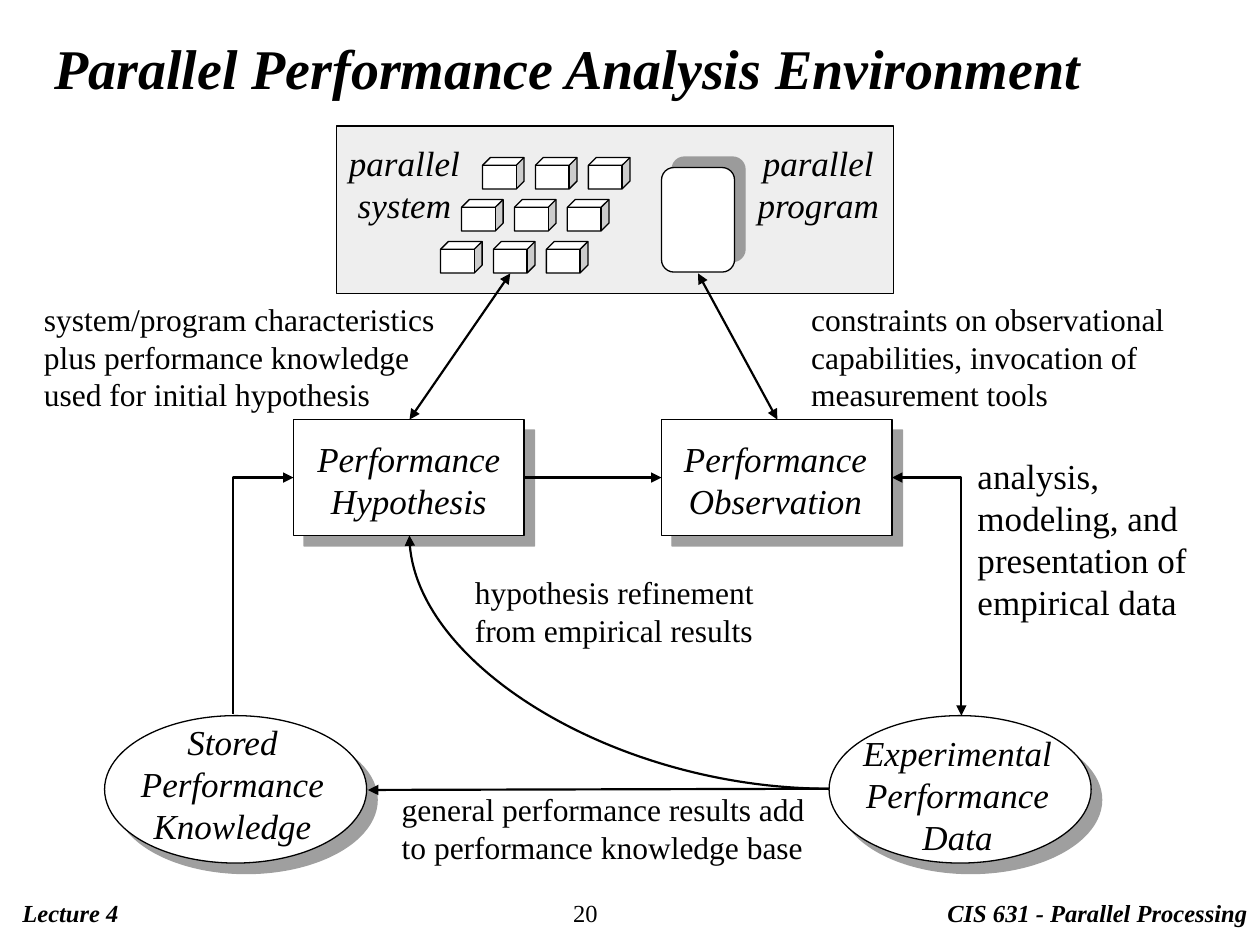
import pptx
import pptx.util
import pptx.dml.color
import pptx.enum.shapes
import pptx.enum.text
import pptx.oxml.ns

Inches, Pt = pptx.util.Inches, pptx.util.Pt
SHAPE = pptx.enum.shapes.MSO_SHAPE
STRAIGHT = pptx.enum.shapes.MSO_CONNECTOR.STRAIGHT
ALIGN = pptx.enum.text.PP_ALIGN
GROW = pptx.enum.text.MSO_AUTO_SIZE.SHAPE_TO_FIT_TEXT
qn = pptx.oxml.ns.qn

FONT = "Times New Roman"
COLORS = {"ink": "000000", "paper": "FFFFFF", "panel": "EEEEEE", "shadow": "808080"}

TITLE = "Parallel Performance Analysis Environment"
PANEL = (2.67, 1, 4.42, 1.33)
PROGRAM = (5.25, 1.33, 0.58, 0.83)

# Shape, its place, its label, the label's place ("\n" new paragraph, "\v" line break)
NODES = [
    (SHAPE.OVAL, (6.58, 5.68, 2.08, 1.17),
     "Experimental\nPerformance\nData", (6.75, 5.76, 1.7, 1.1)),
    (SHAPE.OVAL, (0.83, 5.68, 2.08, 1.17),
     "Stored\vPerformance\vKnowledge", (1.02, 5.67, 1.65, 1.1)),
    (SHAPE.RECTANGLE, (5.25, 3.33, 1.83, 0.92),
     "Performance\nObservation", (5.33, 3.42, 1.65, 0.77)),
    (SHAPE.RECTANGLE, (2.33, 3.33, 1.83, 0.92),
     "Performance\nHypothesis", (2.42, 3.42, 1.65, 0.77)),
]
PANEL_LABELS = [
    ("parallel\nsystem", (2.67, 1.07, 1.08, 0.77)),
    ("parallel\nprogram", (5.91, 1.07, 1.17, 0.77)),
]
NOTES = [
    ("constraints on observational\ncapabilities, invocation of\vmeasurement tools",
     (6.34, 2.33, 3.04, 1), 18),
    ("hypothesis refinement\vfrom empirical results", (3.67, 4.5, 2.45, 0.7), 18),
    ("general performance results add\vto performance knowledge base",
     (3.09, 6.22, 3.44, 0.7), 18),
    ("system/program characteristics\vplus performance knowledge\v"
     "used for initial hypothesis", (0.25, 2.33, 3.34, 1), 18),
    ("analysis,\vmodeling, and\vpresentation of\vempirical data",
     (7.66, 3.56, 1.9, 1.44), 20),
]
FOOTERS = [
    ("CIS 631 - Parallel Processing", (7.42, 7.08, 2.58, 0.34), True),
    ("Lecture 4", (0.08, 7.08, 4.3, 0.34), True),
    ("20", (4.45, 7.08, 1.01, 0.34), False),
]
# Route, start, end, ends that carry an arrowhead
ARROWS = [
    ("line", (6.58, 6.26), (2.92, 6.27), ["tailEnd"]),
    ("bentConnector2", (7.08, 3.79), (7.63, 5.68), ["headEnd", "tailEnd"]),
    ("line", (4.17, 3.79), (5.25, 3.79), ["tailEnd"]),
    ("bentConnector2", (2.33, 3.79), (1.85, 5.67), ["headEnd"]),
    ("curvedConnector2", (6.58, 6.26), (3.25, 4.25), ["tailEnd"]),
    ("line", (4.05, 2.17), (3.25, 3.33), ["headEnd", "tailEnd"]),
    ("line", (5.54, 2.17), (6.17, 3.33), ["headEnd", "tailEnd"]),
]
CUBE_SIZE = (0.33, 0.25)
CUBE_START = (3.83, 1.25)
CUBE_STEP = (0.42, 1 / 3)
CUBE_SHIFT = 1 / 6


def color(name):
    return pptx.dml.color.RGBColor.from_string(COLORS[name])


def inches(values):
    return [Inches(value) for value in values]


def write(frame, text, align=ALIGN.LEFT, **font_values):
    frame.text = text
    for para in frame.paragraphs:
        para.alignment = align
        for run in para.runs:
            run.font.name = FONT
            run.font.color.rgb = color("ink")
            for key, value in font_values.items():
                setattr(run.font, key, value)


def add_text(slide, text, place, wrap=False, **style):
    frame = slide.shapes.add_textbox(*inches(place)).text_frame
    frame.word_wrap = wrap
    frame.auto_size = GROW
    write(frame, text, **style)


def add_outlined(slide, kind, place, fill="paper"):
    shape = slide.shapes.add_shape(kind, *inches(place))
    shape.shadow.inherit = False
    shape.fill.solid()
    shape.fill.fore_color.rgb = color(fill)
    shape.line.color.rgb = color("ink")
    shape.line.width = Pt(0.75)
    return shape


def add_shadow(shape, degrees):
    """Cast a hard grey shadow in the given direction, clockwise from the right."""
    effects = shape._element.spPr.find(qn("a:effectLst"))
    outer = effects.makeelement(qn("a:outerShdw"), {
        "blurRad": "0", "dist": str(Pt(8.5)), "dir": str(degrees * 60000),
        "algn": "ctr", "rotWithShape": "0"})
    tint = outer.makeelement(qn("a:srgbClr"), {"val": COLORS["shadow"]})
    tint.append(tint.makeelement(qn("a:alpha"), {"val": "75000"}))
    outer.append(tint)
    effects.append(outer)


def add_arrow(slide, route, start, end, heads):
    arrow = slide.shapes.add_connector(STRAIGHT, *inches(start + end))
    arrow.line.color.rgb = color("ink")
    arrow.line.width = Pt(1.25)
    properties = arrow._element.spPr
    properties.find(qn("a:prstGeom")).set("prst", route)
    line = properties.find(qn("a:ln"))
    for head in heads:
        line.append(line.makeelement(qn("a:" + head), {"type": "triangle"}))
    properties.append(properties.makeelement(qn("a:effectLst"), {}))


def add_cubes(slide):
    """Three rows of three cubes, each row set further left than the one above."""
    for row in range(3):
        for column in range(3):
            left = CUBE_START[0] + column * CUBE_STEP[0] - row * CUBE_SHIFT
            top = CUBE_START[1] + row * CUBE_STEP[1]
            cube = add_outlined(slide, SHAPE.CUBE, (left, top) + CUBE_SIZE)
            cube.adjustments[0] = 0.25


def main():
    deck = pptx.Presentation()
    deck.slide_width, deck.slide_height = inches((10, 7.5))
    slide = deck.slides.add_slide(deck.slide_layouts[5])

    title = slide.shapes.title
    title.left, title.top, title.width, title.height = inches((0.33, 0.28, 9.42, 0.5))
    title.text_frame.vertical_anchor = pptx.enum.text.MSO_ANCHOR.MIDDLE
    write(title.text_frame, TITLE, size=Pt(32), bold=True, italic=True)

    label_style = {"align": ALIGN.CENTER, "size": Pt(20), "italic": True}
    add_outlined(slide, SHAPE.RECTANGLE, PANEL, "panel")
    for kind, place, label, label_place in NODES:
        add_shadow(add_outlined(slide, kind, place), 45)
        add_text(slide, label, label_place, **label_style)

    program = add_outlined(slide, SHAPE.ROUNDED_RECTANGLE, PROGRAM)
    program.adjustments[0] = 0.17
    add_shadow(program, 315)
    add_cubes(slide)

    for arrow in ARROWS:
        add_arrow(slide, *arrow)
    for label, place in PANEL_LABELS:
        add_text(slide, label, place, **label_style)
    for note, place, size in NOTES:
        add_text(slide, note, place, size=Pt(size))
    for text, place, strong in FOOTERS:
        add_text(slide, text, place, wrap=True, size=Pt(14), bold=strong, italic=strong)

    deck.save("out.pptx")


if __name__ == "__main__":
    main()
